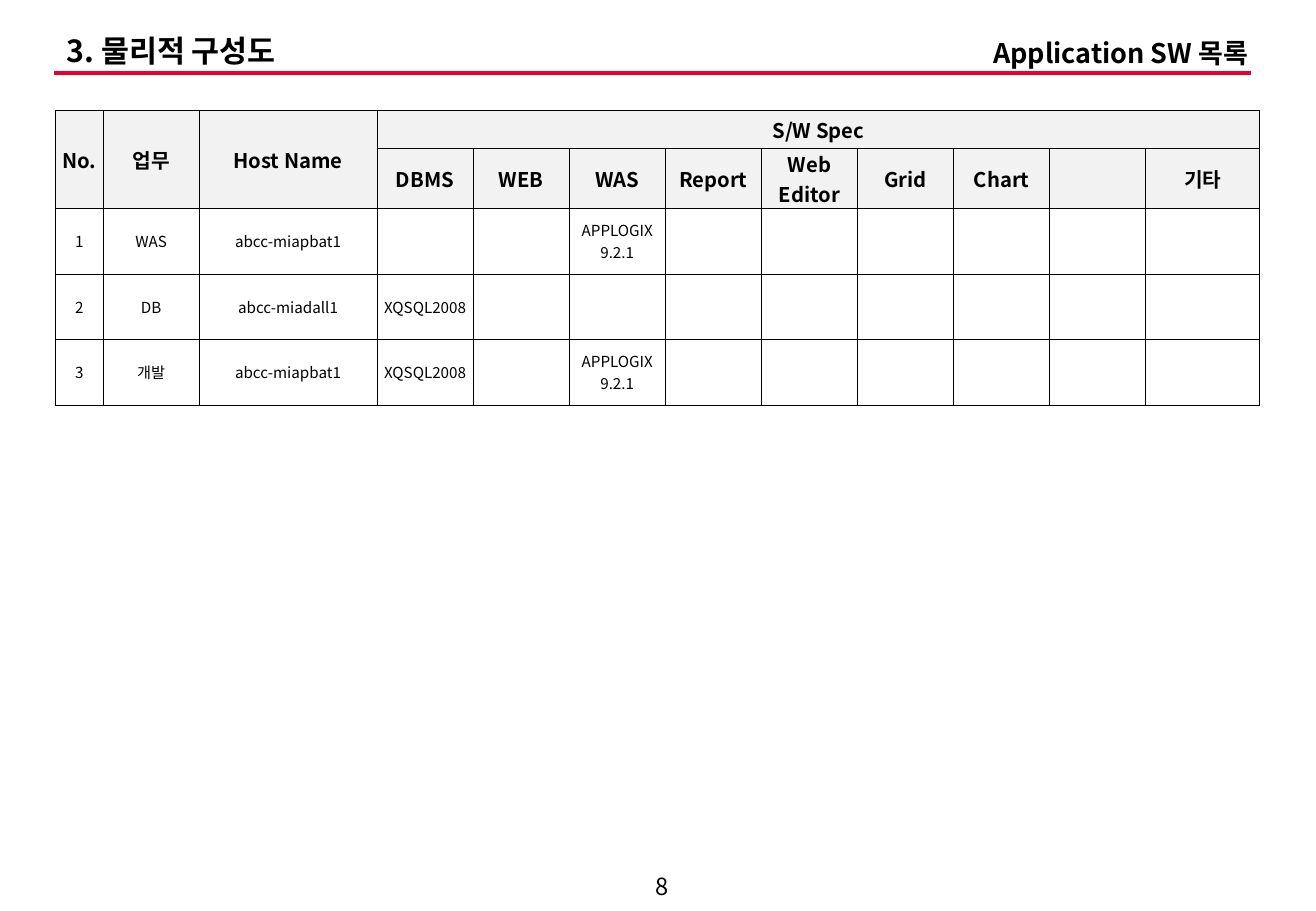
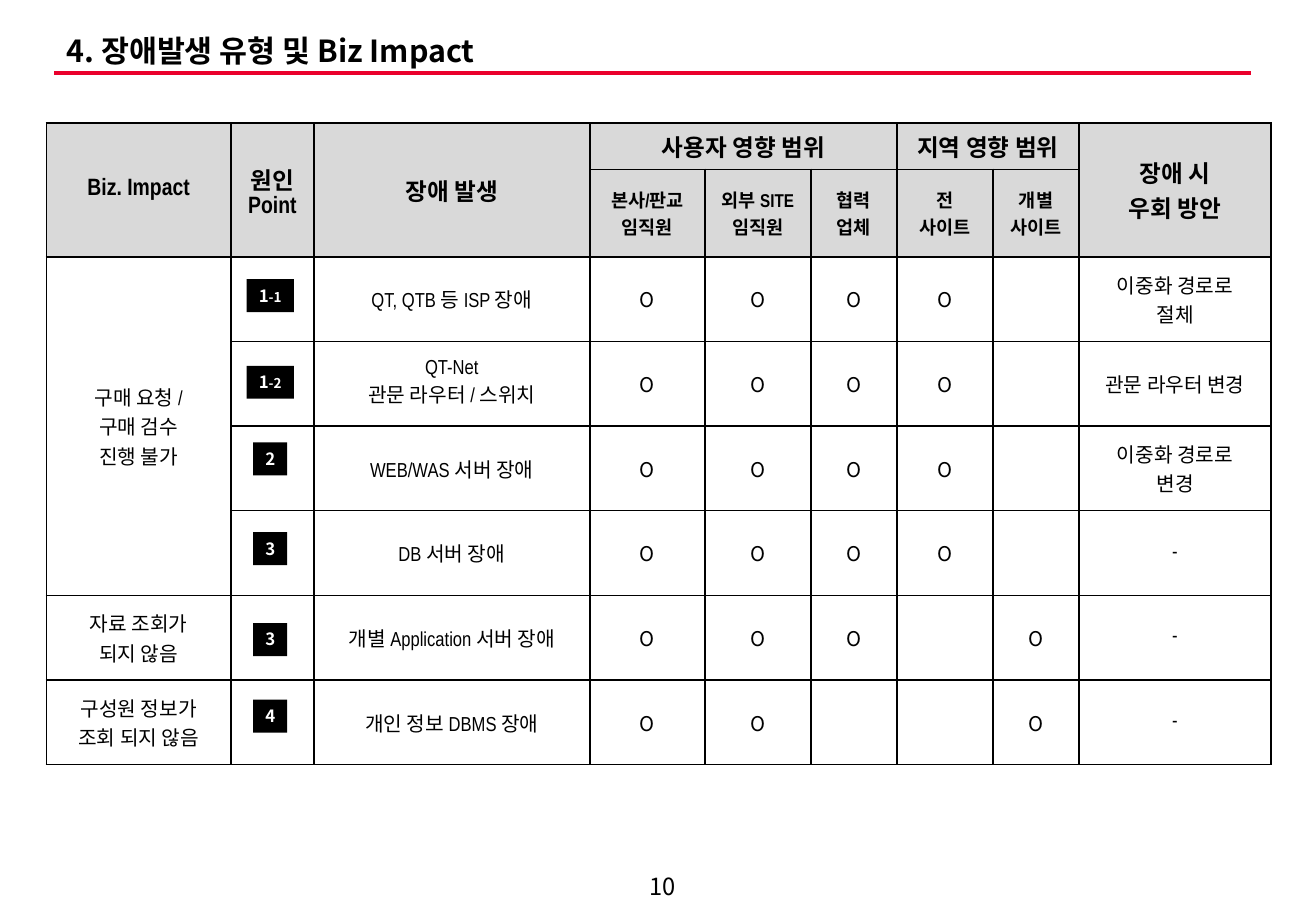
from pptx import Presentation
from pptx import util as u
from pptx.dml.color import RGBColor
from pptx.enum import shapes, text
from pptx.oxml.ns import qn
from lxml import etree

NOTO, SLIM = "Noto Sans CJK KR", "Arial Narrow"
BLACK, WHITE, RED = "000000", "FFFFFF", "EA002C"
MID, TOP = text.MSO_ANCHOR.MIDDLE, text.MSO_ANCHOR.TOP
LEFT, MIDDLE, RIGHT = text.PP_ALIGN.LEFT, text.PP_ALIGN.CENTER, text.PP_ALIGN.RIGHT

SPEC = {
    "at": (1.16, 2.31),
    "cols": [1, 2, 3.72] + [2.01] * 8 + [2.38],
    "rows": [0.79, 1.26] + [1.37] * 3,
    "spans": [(0, 0, 1, 0), (0, 1, 1, 1), (0, 2, 1, 2), (0, 3, 0, 11)],
    "cells": [
        ["No.", "업무", "Host Name", "S/W Spec"],
        ["", "", "", "DBMS", "WEB", "WAS", "Report", "Web Editor", "Grid",
         "Chart", "", "기타"],
        ["1", "WAS", "abcc-miapbat1", "", "", "APPLOGIX 9.2.1"],
        ["2", "DB", "abcc-miadall1", "XQSQL2008"],
        ["3", "개발", "abcc-miapbat1", "XQSQL2008", "", "APPLOGIX 9.2.1"],
    ],
    "sizes": (12, 12, 9), "font": NOTO, "head": "F2F2F2",
    "side": 0, "pad": (0.02, 0.13), "line": 0.5,
}
IMPACT = {
    "at": (0.97, 2.57),
    "cols": [3.86, 1.73, 5.77, 2.41, 2.21, 1.8, 2.01, 1.8, 4.01],
    "rows": [0.97, 1.83] + [1.77] * 6,
    "spans": [(0, 0, 1, 0), (0, 1, 1, 1), (0, 2, 1, 2), (0, 3, 0, 5),
              (0, 6, 0, 7), (0, 8, 1, 8), (2, 0, 5, 0)],
    "cells": [
        ["Biz. Impact", "원인\nPoint", "장애 발생", "사용자 영향 범위", "", "",
         "지역 영향 범위", "", "장애 시\n우회 방안"],
        ["", "", "", "본사/판교\n임직원", "외부 SITE\n임직원", "협력\n업체",
         "전\n사이트", "개별\n사이트"],
        ["구매 요청 /\n구매 검수\n진행 불가", "", "QT, QTB 등 ISP 장애",
         "O", "O", "O", "O", "", "이중화 경로로\n절체"],
        ["", "", "QT-Net\n관문 라우터 / 스위치", "O", "O", "O", "O", "",
         "관문 라우터 변경"],
        ["", "", "WEB/WAS 서버 장애", "O", "O", "O", "O", "",
         "이중화 경로로\n변경"],
        ["", "", "DB 서버 장애", "O", "O", "O", "O", "", "-"],
        ["자료 조회가\n되지 않음", "", "개별 Application 서버 장애",
         "O", "O", "O", "", "O", "-"],
        ["구성원 정보가\n조회 되지 않음", "", "개인 정보 DBMS 장애",
         "O", "O", "", "", "O", "-"],
    ],
    "sizes": (14, 11, 12), "font": SLIM, "head": "D9D9D9",
    "side": 0.1, "pad": (0.13, 0.13), "line": 1,
}
PAGES = [
    ("8", "3. 물리적 구성도", "Application SW 목록", SPEC, []),
    ("10", "4. 장애발생 유형 및 Biz Impact", "", IMPACT,
     [("1", "-1", 5.84), ("1", "-2", 7.65), ("2", "", 9.25),
      ("3", "", 11.13), ("3", "", 13.03), ("4", "", 14.63)]),
]
AXIS = 5.65


def tint(code):
    """Turn a hex string into a colour."""
    return RGBColor.from_string(code)


def write(para, words, size, bold=False, color=BLACK, font=NOTO):
    """Add one run to a paragraph."""
    run = para.add_run()
    run.text = words
    run.font.size, run.font.bold, run.font.name = u.Pt(size), bold, font
    run.font.color.rgb = tint(color)
    asian = etree.SubElement(run._r.get_or_add_rPr(), qn("a:ea"))
    asian.set("typeface", NOTO)


def label(slide, box, words, size, align, anchor, bold=True):
    """Add a one-line text box and return its paragraph."""
    frame = slide.shapes.add_textbox(*map(u.Cm, box)).text_frame
    frame.word_wrap, frame.vertical_anchor = True, anchor
    para = frame.paragraphs[0]
    para.alignment = align
    write(para, words, size, bold)
    return para


def frame(slide, page, title, aside):
    """Draw the title, rule and page number."""
    label(slide, (12.95, 18.14, 1.8, 0.79), page, 14, MIDDLE, MID, False)
    rule = slide.shapes.add_connector(
        shapes.MSO_CONNECTOR.STRAIGHT,
        u.Cm(1.14), u.Cm(1.52), u.Cm(26.16), u.Cm(1.52))
    rule.line.color.rgb, rule.line.width = tint(RED), u.Pt(2.25)
    etree.SubElement(rule._element.spPr, qn("a:effectLst"))
    head = label(slide, (1.14, 0.64, 24.21, 0.94), title, 18, LEFT, MID)
    head.line_spacing = 0.9
    if aside:
        label(slide, (19.38, 0.64, 6.96, 0.94), aside, 16, RIGHT, TOP)


def edge(cell, width):
    """Draw the four borders of a cell."""
    props = cell._tc.get_or_add_tcPr()
    for spot, side in enumerate(("lnL", "lnR", "lnT", "lnB")):
        line = etree.Element(qn("a:" + side), w=str(u.Pt(width)))
        fill = etree.SubElement(line, qn("a:solidFill"))
        etree.SubElement(fill, qn("a:srgbClr"), val=BLACK)
        props.insert(spot, line)


def grid(slide, data):
    """Build a table with two header rows."""
    cols, rows = data["cols"], data["rows"]
    box = (*data["at"], sum(cols), sum(rows))
    table = slide.shapes.add_table(
        len(rows), len(cols), *map(u.Cm, box)).table
    for col, width in zip(table.columns, cols):
        col.width = u.Cm(width)
    for row, height in zip(table.rows, rows):
        row.height = u.Cm(height)
    for r, words in enumerate(data["cells"]):
        size, top = data["sizes"][min(r, 2)], r < 2
        for c in range(len(cols)):
            cell = table.cell(r, c)
            cell.fill.solid()
            cell.fill.fore_color.rgb = tint(data["head"] if top else WHITE)
            cell.vertical_anchor = MID
            cell.margin_left = cell.margin_right = u.Cm(data["side"])
            pad = data["pad"][0 if top else 1]
            cell.margin_top = cell.margin_bottom = u.Cm(pad)
            edge(cell, data["line"])
            value = words[c] if c < len(words) else ""
            body = cell.text_frame
            for n, part in enumerate(value.split("\n")):
                para = body.add_paragraph() if n else body.paragraphs[0]
                para.alignment = MIDDLE
                if part:
                    font = NOTO if part == "O" else data["font"]
                    write(para, part, size, top, font=font)
                else:
                    para._p.get_or_add_endParaRPr().set("sz", str(size * 100))
    for r, c, low, far in data["spans"]:
        table.cell(r, c).merge(table.cell(low, far))


def badge(slide, main, sub, y):
    """Draw a black number tag centred on the point column."""
    width = 0.99 if sub else 0.71
    box = (AXIS - width / 2, y, width, 0.69)
    tag = slide.shapes.add_shape(
        shapes.MSO_SHAPE.RECTANGLE, *map(u.Cm, box))
    tag.shadow.inherit = False
    tag.fill.solid()
    tag.fill.fore_color.rgb = tint(BLACK)
    tag.line.fill.background()
    body = tag.text_frame
    body.word_wrap, body.vertical_anchor = False, TOP
    para = body.paragraphs[0]
    para.alignment = MIDDLE
    write(para, main, 10, True, WHITE)
    if sub:
        write(para, sub, 8, True, WHITE)


def main():
    """Build and save the slides."""
    deck = Presentation()
    deck.slide_width, deck.slide_height = u.Cm(27.51), u.Cm(19.05)
    for page, title, aside, data, tags in PAGES:
        slide = deck.slides.add_slide(deck.slide_layouts[6])
        frame(slide, page, title, aside)
        grid(slide, data)
        for tag in tags:
            badge(slide, *tag)
    deck.save("out.pptx")


if __name__ == "__main__":
    main()
